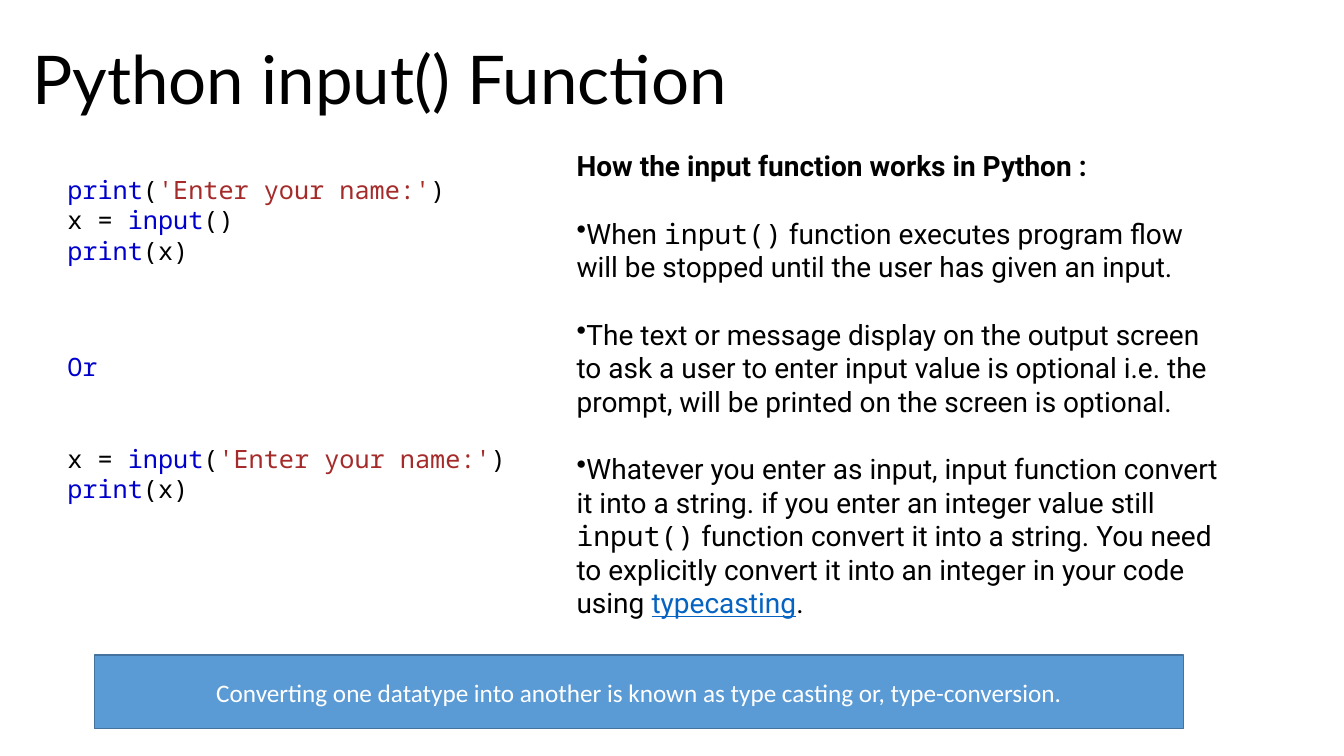
from lxml.etree import SubElement
from pptx import Presentation
from pptx.dml.color import RGBColor
from pptx.enum.shapes import MSO_SHAPE as Shape
from pptx.enum.text import MSO_ANCHOR as Anchor, MSO_AUTO_SIZE as AutoSize, PP_ALIGN as Align
from pptx.oxml.ns import qn
from pptx.util import Pt

BLACK, WHITE, BLUE, BROWN, LINK = "000000", "FFFFFF", "0000CD", "A52A2A", "0563C1"
MONO, BODY = "Noto Sans Mono", "Roboto"

GREETING = ("'Enter your name:'", BROWN)
PRINT_X = [("print", BLUE), ("(x)", BLACK)]
PROMPT_FIRST = [
    [("print", BLUE), ("(", BLACK), GREETING, (")", BLACK)],
    [("x = ", BLACK), ("input", BLUE), ("()", BLACK)],
    PRINT_X,
]
PROMPT_INSIDE = [
    [("Or", BLUE)],
    [("x = ", BLACK), ("input", BLUE), ("(", BLACK), GREETING, (")", BLACK)],
    PRINT_X,
]
HEADING = "How the input function works in Python :"
POINTS = [
    [("When ", {}), ("input()", {"font": MONO}),
     (" function executes program flow will be stopped until the user has given an input.", {})],
    [("The text or message display on the output screen to ask a user to enter input value "
      "is optional i.e. the prompt, will be printed on the screen is optional.", {})],
    [("Whatever you enter as input, input function convert it into a string. "
      "if you enter an integer value still", {}),
     (" input()", {"font": MONO}),
     (" function convert it into a string. You need to explicitly convert it into an integer "
      "in your code using ", {}),
     ("typecasting", {"color": LINK, "underline": True}), (".", {})],
]
CONCLUSION = "Converting one datatype into another is known as type casting or, type-conversion."


def rgb(value):
    return RGBColor.from_string(value)


def write(para, text, font=BODY, size=20, color=BLACK, bold=False, underline=None):
    span = para.add_run()
    span.text = text
    span.font.name = font
    span.font.size = Pt(size)
    span.font.color.rgb = rgb(color)
    span.font.bold = bold
    span.font.underline = underline


def next_para(frame, gap=0, bullet=None):
    """Return the first unused paragraph, adding one when needed."""
    last = frame.paragraphs[-1]
    para = frame.add_paragraph() if last.runs else last
    para.alignment = Align.LEFT
    para.space_before = Pt(gap)
    if bullet:
        settings = para._p.get_or_add_pPr()
        settings.set("marL", "0")
        settings.set("indent", "0")
        SubElement(settings, qn("a:buChar")).set("char", bullet)
    return para


def place(box, left, top, width, height):
    box.left, box.top, box.width, box.height = Pt(left), Pt(top), Pt(width), Pt(height)


def add_panel(page, left, top, width, height, fill, line=None):
    panel = page.shapes.add_shape(Shape.RECTANGLE, Pt(left), Pt(top), Pt(width), Pt(height))
    panel.shadow.inherit = False
    panel.fill.solid()
    panel.fill.fore_color.rgb = rgb(fill)
    if line:
        panel.line.color.rgb = rgb(line)
        panel.line.width = Pt(1)
    else:
        panel.line.fill.background()
    panel.text_frame.word_wrap = True
    return panel


def add_title(page, text):
    title = page.shapes.title
    place(title, 15.84, 23, 576.7, 65.5)
    frame = title.text_frame
    frame.auto_size = AutoSize.NONE
    frame.vertical_anchor = Anchor.TOP
    write(next_para(frame), text, font="Lato", size=48)


def add_code(page, top, height, lines, gaps=()):
    box = page.shapes.add_textbox(Pt(41), Pt(top), Pt(480), Pt(height))
    box.text_frame.word_wrap = True
    for number, line in enumerate(lines):
        para = next_para(box.text_frame, gap=dict(gaps).get(number, 0))
        for text, color in line:
            write(para, text, font=MONO, size=18, color=color)


def add_explanation(page):
    frame = add_panel(page, 411.84, 104.4, 463.7, 363.6, WHITE).text_frame
    frame.vertical_anchor = Anchor.TOP
    frame.margin_left = frame.margin_right = frame.margin_bottom = 0
    frame.margin_top = Pt(2)
    write(next_para(frame), HEADING, bold=True)
    for point in POINTS:
        para = next_para(frame, gap=24, bullet="•")
        for text, style in point:
            write(para, text, **style)


def add_conclusion(page):
    frame = add_panel(page, 67.7, 468, 777.6, 52.6, "5B9BD5", line="43739E").text_frame
    frame.vertical_anchor = Anchor.MIDDLE
    para = next_para(frame)
    para.alignment = Align.CENTER
    write(para, CONCLUSION, font="Calibri", size=18, color=WHITE)


def main():
    deck = Presentation()
    deck.slide_width, deck.slide_height = Pt(960), Pt(540)
    page = deck.slides.add_slide(deck.slide_layouts[5])
    add_title(page, "Python input() Function")
    add_code(page, 121, 72.7, PROMPT_FIRST)
    add_code(page, 247.7, 116.6, PROMPT_INSIDE, gaps={1: 43.5})
    add_explanation(page)
    add_conclusion(page)
    deck.save("out.pptx")


if __name__ == "__main__":
    main()
